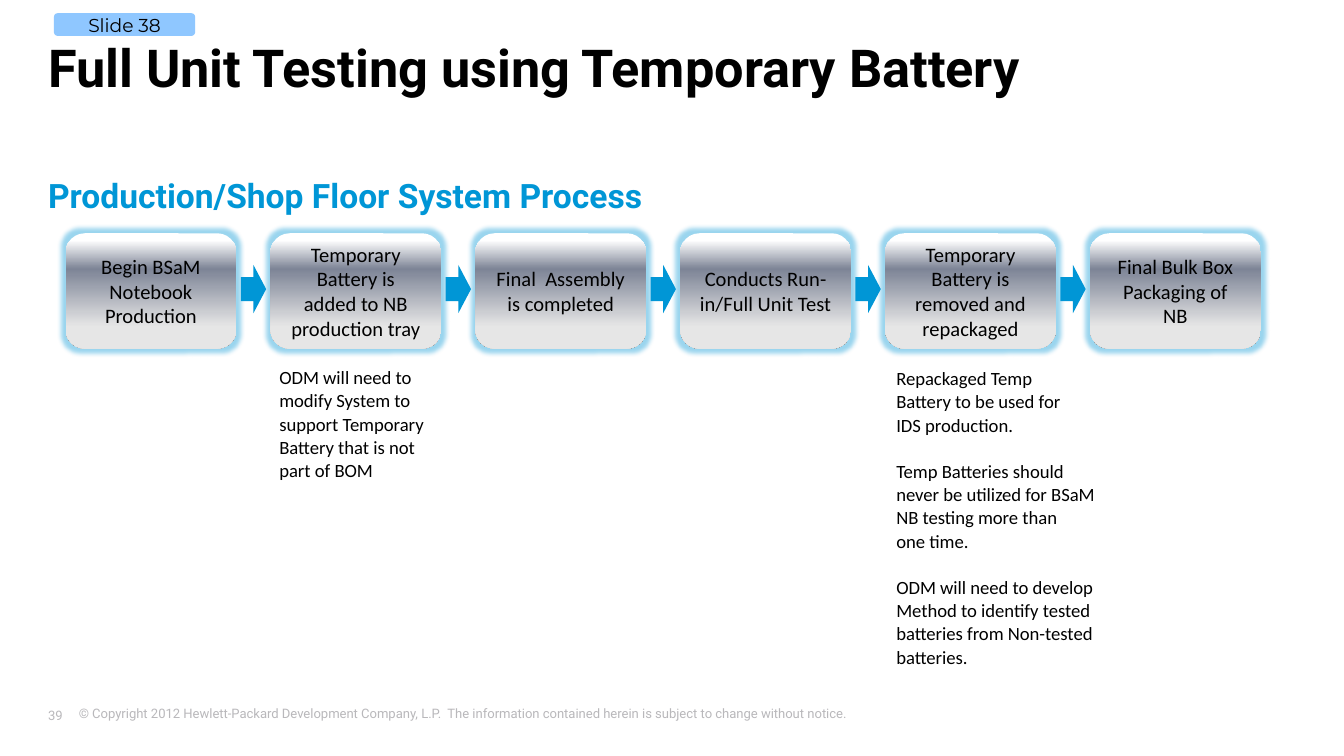
from lxml import etree
from pptx import Presentation
from pptx import util as u
from pptx.dml.color import RGBColor
from pptx.enum import shapes, text
from pptx.oxml.ns import qn

BLUE, BLACK, GRAY = "0096D6", "000000", "B9B8BB"
STEEL = [(6, "FFFFFF"), (31, "7D8496"), (81, "E6E6E6"), (100, "E6E6E6")]

STEPS = [
    "Begin BSaM Notebook Production",
    "Temporary Battery is added to NB production tray",
    "Final  Assembly is completed",
    "Conducts Run-in/Full Unit Test",
    "Temporary Battery is removed and repackaged",
    "Final Bulk Box Packaging of NB",
]
TRAY_NOTE = [
    ["ODM will need to", "modify System to", "support Temporary",
     "Battery that is not", "part of BOM"],
]
REPACK_NOTE = [
    ["Repackaged Temp", "Battery to be used for", "IDS production."],
    ["Temp Batteries should", "never be utilized for BSaM",
     "NB testing more than", "one time."],
    ["ODM will need to develop", "Method to identify tested",
     "batteries from Non-tested", "batteries."],
]
COPYRIGHT = ("© Copyright 2012 Hewlett-Packard Development Company, L.P.  "
             "The information contained herein is subject to change without notice.")


def rgb(value):
    return RGBColor.from_string(value)


def apply(obj, values):
    for name, value in values.items():
        setattr(obj, name, value)


def place(sp, box):
    apply(sp, dict(zip(("left", "top", "width", "height"), map(u.Cm, box))))


def set_frame(sp, inset=None, **values):
    tf = sp.text_frame
    apply(tf, {"word_wrap": True, **values})
    if inset is not None:
        sides = ("margin_left", "margin_top", "margin_right", "margin_bottom")
        apply(tf, dict(zip(sides, map(u.Cm, inset))))
    return tf


def write(p, words, size, face, color=BLACK, bold=False, **para):
    apply(p, para)
    r = p.add_run()
    r.text = words
    apply(r.font, {"size": u.Pt(size), "name": face, "bold": bold})
    r.font.color.rgb = rgb(color)


def add_text(s, box, words, size, face, color=BLACK, bold=False, **frame):
    sp = s.shapes.add_textbox(*map(u.Cm, box))
    write(set_frame(sp, **frame).paragraphs[0], words, size, face, color, bold)


def add_shape(s, kind, box, fill=None):
    sp = s.shapes.add_shape(kind, *map(u.Cm, box))
    sp.shadow.inherit = False
    sp.line.fill.background()
    if fill:
        sp.fill.solid()
        sp.fill.fore_color.rgb = rgb(fill)
    return sp


def sub_color(parent, color, alpha=None):
    clr = etree.SubElement(parent, qn("a:srgbClr"), val=color)
    if alpha:
        etree.SubElement(clr, qn("a:alpha"), val=str(alpha * 1000))


def add_title(s, box):
    sp = s.shapes.title
    place(sp, box)
    tf = set_frame(sp, (0, 0, 0, 0), vertical_anchor=text.MSO_ANCHOR.TOP,
                   auto_size=text.MSO_AUTO_SIZE.NONE)
    write(tf.paragraphs[0], "Full Unit Testing using Temporary Battery",
          28, "Roboto", bold=True, alignment=text.PP_ALIGN.LEFT)


def add_step(s, box, words):
    sp = add_shape(s, shapes.MSO_SHAPE.ROUNDED_RECTANGLE, box)
    # Vertical four-stop gradient
    sp.fill.gradient()
    sp.fill.gradient_angle = 270
    stops = sp.element.spPr.find(".//" + qn("a:gsLst"))
    for stop in list(stops):
        stops.remove(stop)
    for pos, color in STEEL:
        sub_color(etree.SubElement(stops, qn("a:gs"), pos=str(pos * 1000)), color)
    # Soft blue glow
    effects = sp.element.spPr.find(qn("a:effectLst"))
    sub_color(etree.SubElement(effects, qn("a:glow"), rad=str(u.Pt(5))), BLUE, 40)
    tf = set_frame(sp, vertical_anchor=text.MSO_ANCHOR.MIDDLE)
    write(tf.paragraphs[0], words, 11, "Calibri", alignment=text.PP_ALIGN.CENTER)


def add_process(s, box):
    left, top, width, height = box
    step_w, arrow_w, arrow_h = 3.23, 0.48, 0.91
    pitch = (width - step_w) / (len(STEPS) - 1)
    for i, words in enumerate(STEPS):
        x = left + i * pitch
        add_step(s, (x, top, step_w, height), words)
        if i < len(STEPS) - 1:
            arrow_x = x + (pitch + step_w - arrow_w) / 2
            add_shape(s, shapes.MSO_SHAPE.RIGHT_ARROW,
                      (arrow_x, top + 0.6, arrow_w, arrow_h), BLUE)


def add_note(s, box, groups):
    tf = set_frame(s.shapes.add_textbox(*map(u.Cm, box)))
    p = tf.paragraphs[0]
    for g, lines in enumerate(groups):
        for i, line in enumerate(lines):
            if g or i:
                p = tf.add_paragraph()
            if g and not i:
                p.space_before = u.Pt(12.5)
            write(p, line, 10, "Calibri", line_spacing=0.7, space_after=u.Pt(4))


def add_tag(s, box):
    sp = add_shape(s, shapes.MSO_SHAPE.ROUNDED_RECTANGLE, box, "3399FF")
    clr = sp.element.spPr.find(".//" + qn("a:srgbClr"))
    etree.SubElement(clr, qn("a:alpha"), val="55000")
    tf = set_frame(sp, vertical_anchor=text.MSO_ANCHOR.MIDDLE)
    write(tf.paragraphs[0], "Slide 38", 10, "Montserrat",
          alignment=text.PP_ALIGN.CENTER)


def add_footer(s, box):
    left, top, width, height = box
    add_text(s, (left + 0.33, top, width - 0.33, height), COPYRIGHT,
             7, "Roboto", GRAY)
    add_text(s, (left, top + 0.1, 0.89, 0.41), "39", 7, "Roboto", GRAY,
             inset=(0, 0.13, 0.25, 0.13), vertical_anchor=text.MSO_ANCHOR.MIDDLE)


def main():
    prs = Presentation()
    apply(prs, {"slide_width": u.Cm(25.4), "slide_height": u.Cm(14.29)})
    s = prs.slides.add_slide(prs.slide_layouts[5])

    # Headings
    add_title(s, (0.91, 0.66, 22.56, 1.19))
    add_text(s, (0.91, 3.3, 22.56, 0.9), "Production/Shop Floor System Process",
             18, "Roboto", BLUE, True, inset=(0, 0, 0, 0))

    # Process row with its notes
    add_process(s, (1.24, 4.41, 22.59, 2.18))
    add_note(s, (5.03, 6.91, 3.4, 2.31), TRAY_NOTE)
    add_note(s, (16.69, 6.93, 4.34, 6.3), REPACK_NOTE)

    # Slide tag and footer
    add_tag(s, (1.02, 0.25, 2.67, 0.43))
    add_footer(s, (0.91, 13.21, 22.58, 0.64))

    prs.save("out.pptx")


if __name__ == "__main__":
    main()
